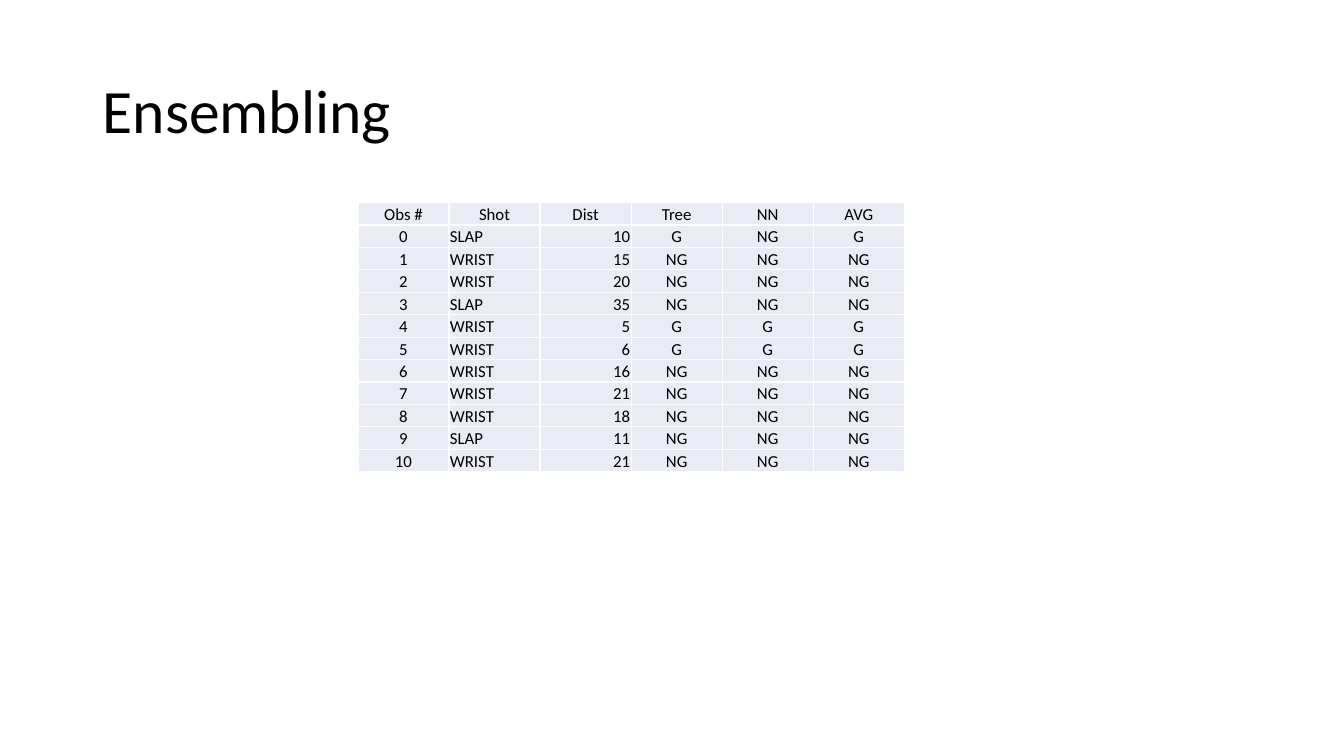
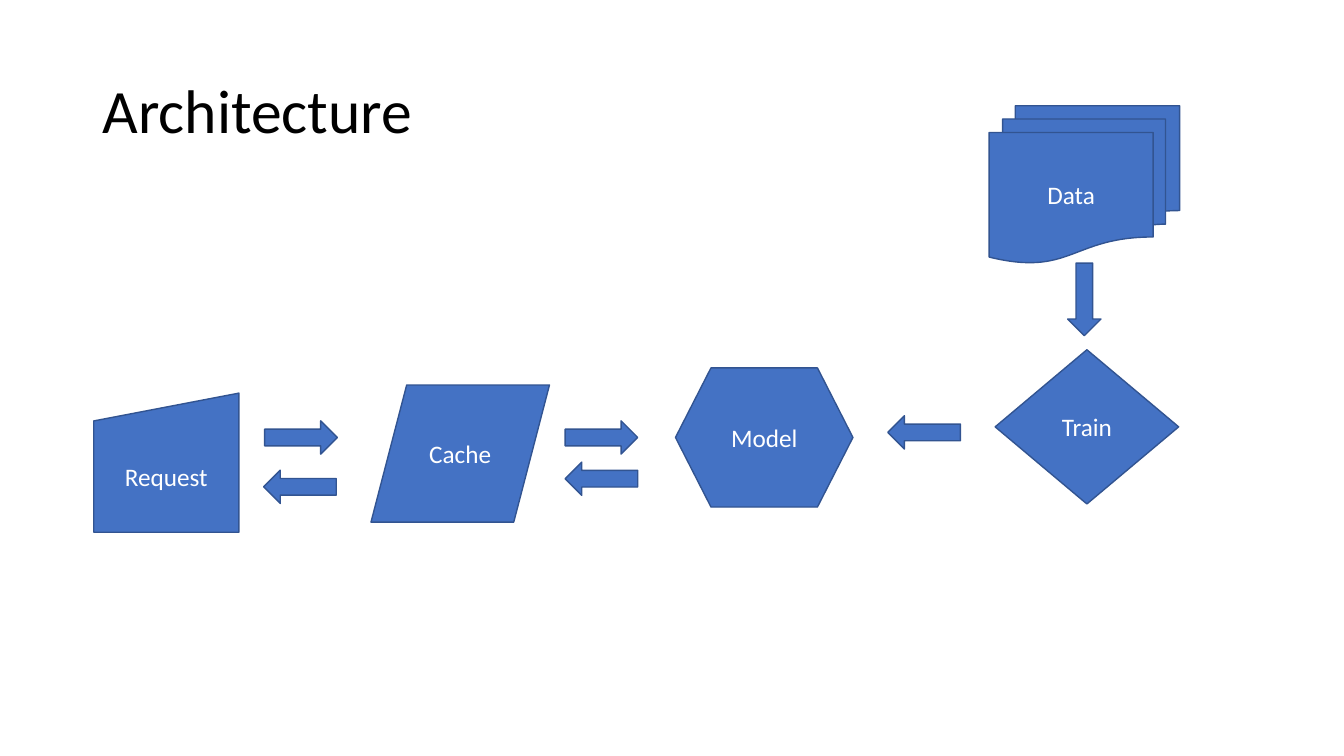
"""Build the Ensembling table slide and the Architecture diagram slide."""
from lxml.etree import SubElement
from pptx import Presentation
from pptx.dml.color import RGBColor
from pptx.enum.shapes import MSO_SHAPE as SHAPE
from pptx.enum.text import MSO_ANCHOR as ANCHOR, PP_ALIGN as ALIGN
from pptx.oxml.ns import qn
from pptx.util import Inches, Pt

FONT = "Calibri"
BLACK, WHITE, BLUE, NAVY, PALE = "000000", "FFFFFF", "4472C4", "325491", "E9EBF5"

HEADER = ("Obs #", "Shot", "Dist", "Tree", "NN", "AVG")
SHOTS = [
    ("SLAP", 10, "G", "NG", "G"),
    ("WRIST", 15, "NG", "NG", "NG"),
    ("WRIST", 20, "NG", "NG", "NG"),
    ("SLAP", 35, "NG", "NG", "NG"),
    ("WRIST", 5, "G", "G", "G"),
    ("WRIST", 6, "G", "G", "G"),
    ("WRIST", 16, "NG", "NG", "NG"),
    ("WRIST", 21, "NG", "NG", "NG"),
    ("WRIST", 18, "NG", "NG", "NG"),
    ("SLAP", 11, "NG", "NG", "NG"),
    ("WRIST", 21, "NG", "NG", "NG"),
]
COLUMN_ALIGN = {1: ALIGN.LEFT, 2: ALIGN.RIGHT}
TABLE_BOX = (3.55, 2.01, 5.42, 2.67)

STAGES = [
    ("Request", SHAPE.FLOWCHART_MANUAL_INPUT, (0.93, 3.9, 1.44, 1.38)),
    ("Data", SHAPE.FLOWCHART_MULTIDOCUMENT, (9.81, 1.05, 1.89, 1.56)),
    ("Train", SHAPE.DIAMOND, (9.87, 3.47, 1.82, 1.53)),
    ("Model", SHAPE.FLOWCHART_PREPARATION, (6.7, 3.65, 1.76, 1.38)),
    ("Cache", SHAPE.FLOWCHART_DATA, (3.68, 3.82, 1.77, 1.36)),
]
DOWN, LEFT, RIGHT = 0, 90, 270
ARROW_SIZE = (0.33, 0.72)
ARROWS = [
    (10.59, 2.61, DOWN),
    (9, 3.93, LEFT),
    (2.82, 3.98, RIGHT),
    (5.8, 3.98, RIGHT),
    (5.8, 4.39, LEFT),
    (2.81, 4.47, LEFT),
]


def rgb(color):
    return RGBColor.from_string(color)


def box(values):
    return [Inches(v) for v in values]


def write(tf, text, size, color, align):
    p = tf.paragraphs[0]
    p.text = text
    p.alignment = align
    p.font.name, p.font.size = FONT, Pt(size)
    p.font.color.rgb = rgb(color)
    return p


def add_slide(title):
    slide = prs.slides.add_slide(prs.slide_layouts[6])
    tf = slide.shapes.add_textbox(*box((0.92, 0.4, 11.5, 1.45))).text_frame
    tf.word_wrap = True
    tf.vertical_anchor = ANCHOR.MIDDLE
    write(tf, title, 44, BLACK, ALIGN.LEFT).line_spacing = 0.9
    return slide


def add_blue(slide, kind, place):
    sp = slide.shapes.add_shape(kind, *box(place))
    sp.shadow.inherit = False
    sp.fill.solid()
    sp.fill.fore_color.rgb = rgb(BLUE)
    sp.line.color.rgb = rgb(NAVY)
    sp.line.width = Pt(1)
    return sp


def set_borders(cell, color):
    tc_pr = cell._tc.get_or_add_tcPr()
    for side in ("a:lnL", "a:lnR", "a:lnT", "a:lnB"):
        ln = SubElement(tc_pr, qn(side), w=str(Pt(1)))
        SubElement(SubElement(ln, qn("a:solidFill")), qn("a:srgbClr"), val=color)


def fill_cell(cell, text, align):
    cell.margin_left = cell.margin_right = cell.margin_top = Inches(0.01)
    cell.margin_bottom = 0
    cell.vertical_anchor = ANCHOR.BOTTOM
    set_borders(cell, WHITE)
    cell.fill.solid()
    cell.fill.fore_color.rgb = rgb(PALE)
    write(cell.text_frame, text, 12, BLACK, align)


prs = Presentation()
prs.slide_width, prs.slide_height = Inches(13.33), Inches(7.5)

ensembling = add_slide("Ensembling")
rows = [HEADER] + [(i, *shot) for i, shot in enumerate(SHOTS)]
table = ensembling.shapes.add_table(len(rows), len(HEADER), *box(TABLE_BOX)).table
table.first_row = table.horz_banding = False
for r, row in enumerate(rows):
    for c, value in enumerate(row):
        align = COLUMN_ALIGN.get(c, ALIGN.CENTER) if r else ALIGN.CENTER
        fill_cell(table.cell(r, c), str(value), align)

architecture = add_slide("Architecture")
for name, kind, place in STAGES:
    tf = add_blue(architecture, kind, place).text_frame
    tf.vertical_anchor = ANCHOR.MIDDLE
    write(tf, name, 18, WHITE, ALIGN.CENTER)
for left, top, turn in ARROWS:
    add_blue(architecture, SHAPE.DOWN_ARROW, (left, top, *ARROW_SIZE)).rotation = turn

prs.save("out.pptx")
